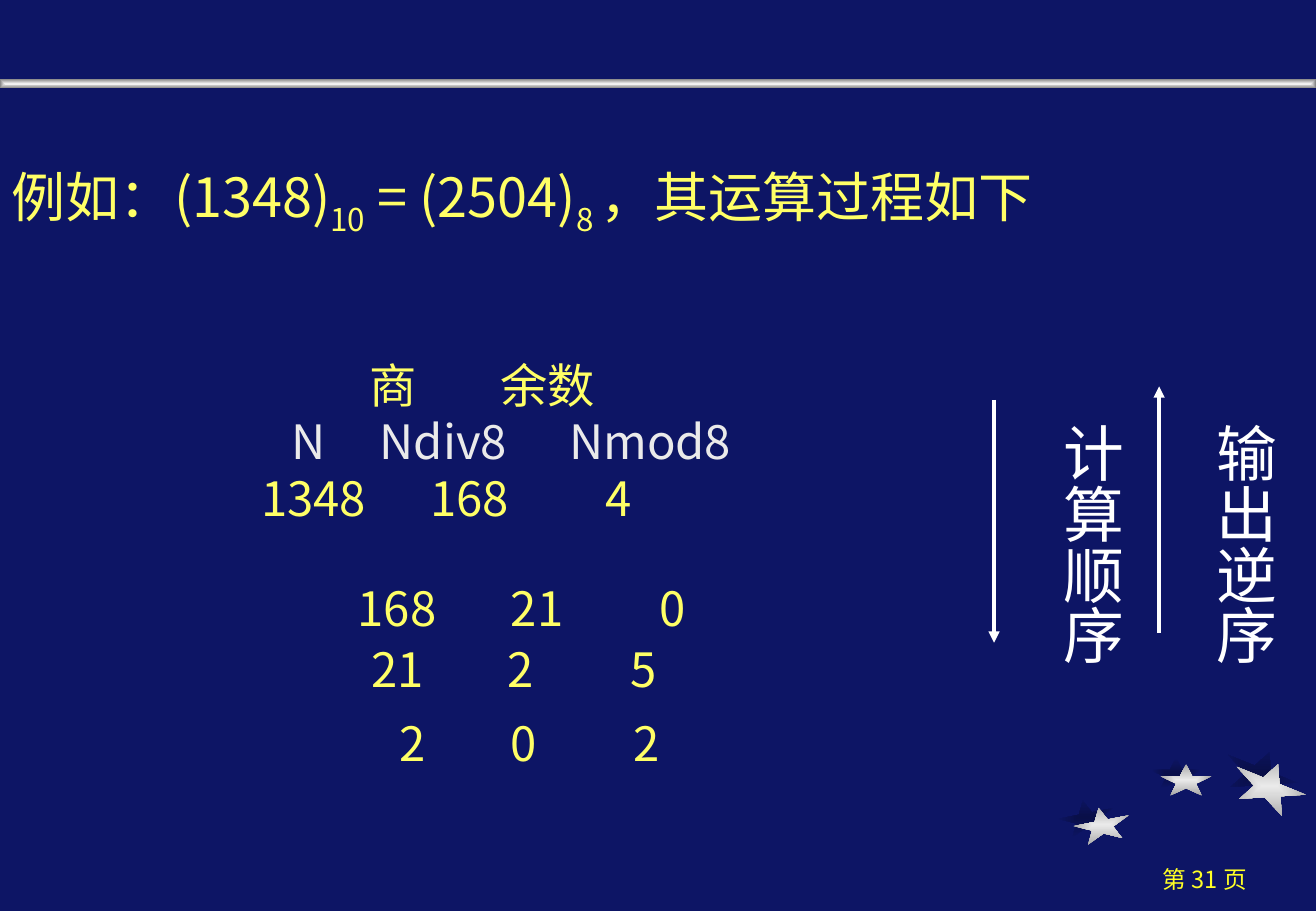
from dataclasses import dataclass

from lxml.etree import SubElement
from pptx import Presentation
from pptx.dml.color import RGBColor as Rgb
from pptx.enum.shapes import MSO_CONNECTOR as Connector, MSO_SHAPE as Preset
from pptx.enum.text import PP_ALIGN as Align
from pptx.oxml.ns import qn
from pptx.util import Cm, Pt

FONT = "Noto Sans CJK SC"
COLORS = {
    "background": "0D1565", "shade": "090F48", "silver": "EAEAEA", "steel": "A7A7A7",
    "bar_light": "F2F2F2", "bar_dark": "808080", "yellow": "FFFF66",
    "page_yellow": "FFFF25", "white": "FFFFFF",
}
STEPS_LEFT, STEPS_WIDTH, INSET = 3.94, 18.39, 0.25


@dataclass
class Star:
    left: float
    top: float
    width: float
    height: float
    turn: float
    inner: str
    outer: str


@dataclass
class Row:
    """One line of the calculation: (position in cm, text) per cell."""
    color: str
    cells: list[tuple[float, str]]


@dataclass
class Order:
    """An arrow and the vertical label beside it."""
    arrow_x: float
    start_y: float
    end_y: float
    label_left: float
    label: str


STARS = [
    Star(left, top, width, height, turn, *tones)
    for tones, places in (
        (("shade", "background"), ((22.12, 16.74), (24.05, 15.85), (25.58, 15.7))),
        (("silver", "steel"), ((22.45, 16.89), (24.26, 15.98), (25.76, 15.95))),
    )
    for (left, top), (width, height, turn) in zip(
        places, ((1.17, 0.71, 349), (1.07, 0.66, 0), (1.55, 0.97, 22)))
]
TITLE = [("例如：(1348)", False), ("10", True), (" = (2504)", False),
         ("8 ", True), ("，其运算过程如下", False)]
# Top of each text box and the rows in it
STEPS = [
    (7.32, [Row("yellow", [(7.72, "商"), (10.47, "余数")]),
            Row("silver", [(6.1, "N"), (7.94, "Ndiv8"), (11.9, "Nmod8")]),
            Row("yellow", [(5.46, "1348"), (8.99, "168"), (12.65, "4")])]),
    (11.99, [Row("yellow", [(7.48, "168"), (10.68, "21"), (13.78, "0")])]),
    (13.26, [Row("yellow", [(7.76, "21"), (10.62, "2"), (13.19, "5")])]),
    (14.81, [Row("yellow", [(8.36, "2"), (10.68, "0"), (13.25, "2")])]),
]
ORDERS = [
    Order(20.78, 8.36, 13.44, 21.64, "计算顺序"),
    Order(24.23, 13.23, 8.08, 24.84, "输出逆序"),
]


def rgb(name: str) -> Rgb:
    return Rgb.from_string(COLORS[name])


def add_gradient_shape(page, preset: Preset, left: float, top: float, width: float,
                       height: float, inner: str, outer: str, turn: float = 0) -> None:
    shape = page.shapes.add_shape(preset, Cm(left), Cm(top), Cm(width), Cm(height))
    shape.shadow.inherit = False
    shape.rotation = turn
    shape.line.fill.background()
    # Replace the linear direction by a gradient that runs to the centre
    shape.fill.gradient()
    for stop, name in zip(shape.fill.gradient_stops, (inner, outer)):
        stop.color.rgb = rgb(name)
    gradient = shape._element.spPr.find(qn("a:gradFill"))
    gradient.remove(gradient.find(qn("a:lin")))
    course = SubElement(gradient, qn("a:path"), path="shape")
    SubElement(course, qn("a:fillToRect"), l="50000", t="50000", r="50000", b="50000")


def add_box(page, left: float, top: float, width: float, height: float):
    box = page.shapes.add_textbox(Cm(left), Cm(top), Cm(width), Cm(height))
    box.text_frame.word_wrap = True
    return box.text_frame


def set_font(para, size: float, color: str) -> None:
    para.font.name = FONT
    para.font.size = Pt(size)
    para.font.color.rgb = rgb(color)
    defaults = para._p.pPr.find(qn("a:defRPr"))
    SubElement(defaults, qn("a:ea"), typeface=FONT)


def add_title(page) -> None:
    para = add_box(page, 0, 3.3, 27.51, 1.9).paragraphs[0]
    for text, lowered in TITLE:
        span = para.add_run()
        span.text = text
        if lowered:
            span._r.get_or_add_rPr().set("baseline", "-25000")
    set_font(para, 32, "yellow")


def add_steps(page, top: float, rows: list[Row]) -> None:
    frame = add_box(page, STEPS_LEFT, top, STEPS_WIDTH, 0.25 + 1.43 * len(rows))
    for index, row in enumerate(rows):
        para = frame.add_paragraph() if index else frame.paragraphs[0]
        tabs = SubElement(para._p.get_or_add_pPr(), qn("a:tabLst"))
        for place, text in row.cells:
            offset = Cm(place - STEPS_LEFT - INSET)
            SubElement(tabs, qn("a:tab"), pos=str(int(offset)), algn="l")
        para.add_run().text = "".join("\t" + text for place, text in row.cells)
        set_font(para, 28, row.color)


def add_order(page, order: Order) -> None:
    arrow = page.shapes.add_connector(
        Connector.STRAIGHT, Cm(order.arrow_x), Cm(order.start_y),
        Cm(order.arrow_x), Cm(order.end_y))
    arrow.line.color.rgb = rgb("white")
    arrow.line.width = Pt(2.25)
    SubElement(arrow.line._get_or_add_ln(), qn("a:tailEnd"), type="triangle")
    SubElement(arrow._element.spPr, qn("a:effectLst"))

    frame = add_box(page, order.label_left, 8.6, 2.06, 6.53)
    frame._txBody.bodyPr.set("vert", "eaVert")
    para = frame.paragraphs[0]
    para.add_run().text = order.label
    set_font(para, 36, "white")


def main() -> None:
    deck = Presentation()
    deck.slide_width, deck.slide_height = Cm(27.51), Cm(19.05)
    page = deck.slides.add_slide(deck.slide_layouts[6])
    page.background.fill.solid()
    page.background.fill.fore_color.rgb = rgb("background")

    # Decoration: stars with their shades, and the bar
    for star in STARS:
        add_gradient_shape(page, Preset.STAR_5_POINT, star.left, star.top, star.width,
                           star.height, star.inner, star.outer, star.turn)
    add_gradient_shape(page, Preset.RECTANGLE, 0, 1.65, 27.51, 0.2, "bar_light", "bar_dark")

    # Page number
    number = add_box(page, 22.86, 17.96, 4.65, 0.84).paragraphs[0]
    number.alignment = Align.CENTER
    number.add_run().text = "第 31 页"
    set_font(number, 14, "page_yellow")

    # Example and its calculation
    add_title(page)
    for top, rows in STEPS:
        add_steps(page, top, rows)
    for order in ORDERS:
        add_order(page, order)

    deck.save("out.pptx")


if __name__ == "__main__":
    main()
